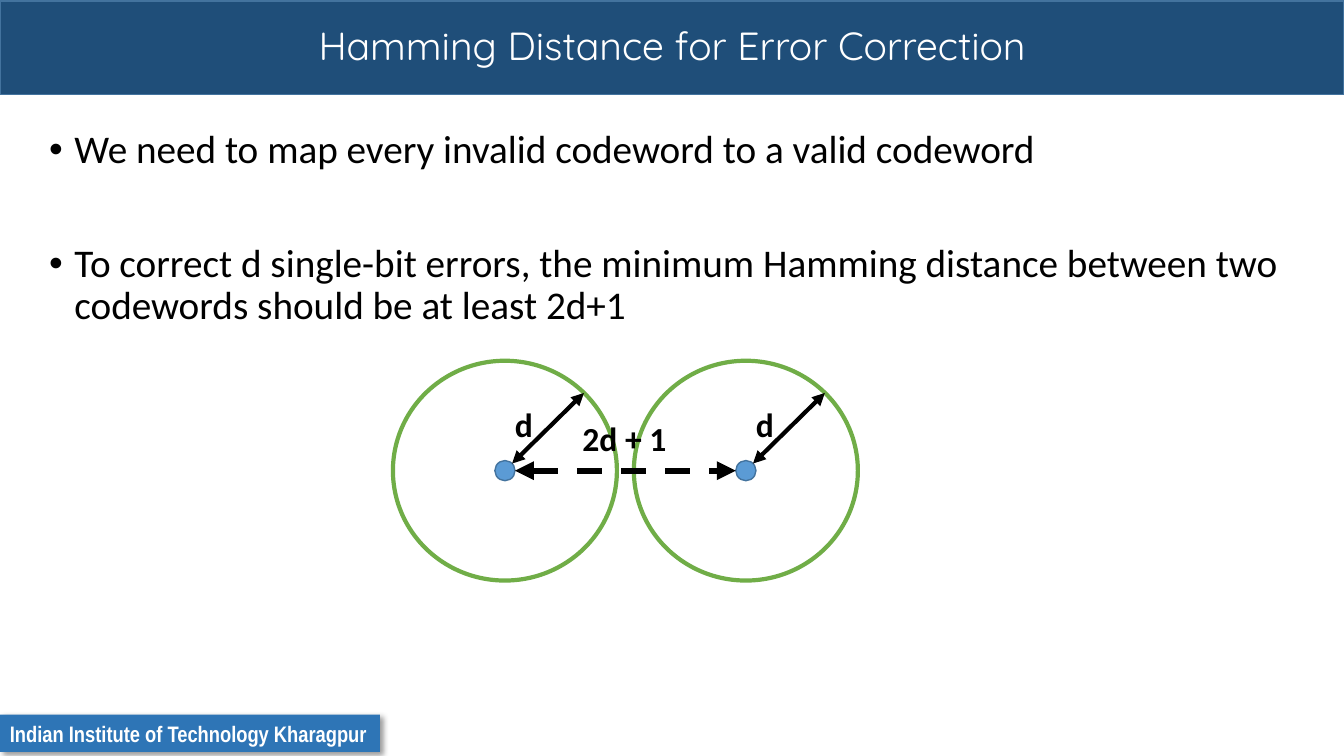
"""Builds a slide on Hamming distance for error correction."""
from lxml.etree import SubElement
from pptx import Presentation
from pptx.dml.color import RGBColor
from pptx.enum.dml import MSO_LINE
from pptx.enum.shapes import MSO_CONNECTOR, MSO_SHAPE
from pptx.enum.text import MSO_ANCHOR, PP_ALIGN
from pptx.oxml.ns import qn
from pptx.util import Pt

WHITE = RGBColor(0xFF, 0xFF, 0xFF)
BLACK = RGBColor(0x00, 0x00, 0x00)
NAVY = RGBColor(0x1F, 0x4E, 0x79)
BANNER_BLUE = RGBColor(0x2E, 0x75, 0xB6)
DOT_BLUE = RGBColor(0x5B, 0x9B, 0xD5)
EDGE_BLUE = RGBColor(0x43, 0x73, 0x9E)
GREEN = RGBColor(0x70, 0xAD, 0x47)

BULLETS = [
    "We need to map every invalid codeword to a valid codeword",
    "To correct d single-bit errors, the minimum Hamming distance between "
    "two codewords should be at least 2d+1",
]
CODEWORD_X = [360.7, 532.8]
CODEWORD_Y = 336.2
DOT_RADIUS = 7.2


def style_font(font, name, size, color, bold=False):
    """Set the typeface, size, colour and weight of a font."""
    font.name = name
    font.size = Pt(size)
    font.color.rgb = color
    font.bold = bold


def add_box(slide, kind, left, top, width, height, fill=None, line=None, weight=1):
    """Add a preset shape with an optional fill and outline."""
    shape = slide.shapes.add_shape(kind, Pt(left), Pt(top), Pt(width), Pt(height))
    shape.shadow.inherit = False
    if fill is None:
        shape.fill.background()
    else:
        shape.fill.solid()
        shape.fill.fore_color.rgb = fill
    if line is None:
        shape.line.fill.background()
    else:
        shape.line.color.rgb = line
        shape.line.width = Pt(weight)
    return shape


def add_header(slide, text):
    """Add the title band across the top."""
    band = add_box(slide, MSO_SHAPE.RECTANGLE, 0, 0.7, 960, 67, NAVY, EDGE_BLUE)
    frame = band.text_frame
    frame.text = text
    frame.vertical_anchor = MSO_ANCHOR.MIDDLE
    paragraph = frame.paragraphs[0]
    paragraph.alignment = PP_ALIGN.CENTER
    paragraph.line_spacing = 0.9
    style_font(paragraph.runs[0].font, "Quicksand", 28, WHITE)


def add_footer(slide, text):
    """Add the institute banner with its soft shadow."""
    banner = add_box(slide, MSO_SHAPE.RECTANGLE, 0, 510.5, 271.4, 26.6, BANNER_BLUE)
    effects = banner.element.spPr.find(qn("a:effectLst"))
    shadow = SubElement(effects, qn("a:outerShdw"), blurRad=str(Pt(4)),
                        dist=str(Pt(3)), dir="2700000", algn="tl", rotWithShape="0")
    color = SubElement(shadow, qn("a:srgbClr"), val=str(BLACK))
    SubElement(color, qn("a:alpha"), val="40000")
    frame = banner.text_frame
    frame.text = text
    frame.word_wrap = False
    paragraph = frame.paragraphs[0]
    paragraph.alignment = PP_ALIGN.LEFT
    style_font(paragraph.runs[0].font, "Arial Narrow", 16, WHITE, True)


def add_bullets(slide, texts):
    """Add the bulleted statements."""
    box = slide.shapes.add_textbox(Pt(28.1), Pt(89.3), Pt(909.4), Pt(421.2))
    frame = box.text_frame
    frame.word_wrap = True
    for index, text in enumerate(texts):
        paragraph = frame.add_paragraph() if index else frame.paragraphs[0]
        paragraph.text = text
        paragraph.line_spacing = 0.9
        paragraph.space_before = Pt(51 if index else 0)
        properties = paragraph._p.get_or_add_pPr()
        properties.set("marL", str(Pt(18)))
        properties.set("indent", str(-Pt(18)))
        SubElement(properties, qn("a:buFont"), typeface="Arial")
        SubElement(properties, qn("a:buChar"), char="•")
        style_font(paragraph.runs[0].font, "Calibri", 28, BLACK)


def add_label(slide, text, left, top, width):
    """Add a bold distance label."""
    box = slide.shapes.add_textbox(Pt(left), Pt(top), Pt(width), Pt(36))
    frame = box.text_frame
    frame.text = text
    frame.word_wrap = False
    style_font(frame.paragraphs[0].runs[0].font, "Calibri", 24, BLACK, True)


def add_arrow(slide, start, end, weight, dash=None):
    """Add a straight arrow with a head at both ends."""
    arrow = slide.shapes.add_connector(
        MSO_CONNECTOR.STRAIGHT, *(Pt(value) for value in start + end))
    arrow.line.color.rgb = BLACK
    arrow.line.width = Pt(weight)
    if dash is not None:
        arrow.line.dash_style = dash
    for tag in ("a:headEnd", "a:tailEnd"):
        SubElement(arrow.line._get_or_add_ln(), qn(tag), type="triangle")
    SubElement(arrow._element.spPr, qn("a:effectLst"))


def add_codeword(slide, x, y):
    """Add a codeword dot with its circle of radius d."""
    add_box(slide, MSO_SHAPE.OVAL, x - DOT_RADIUS, y - DOT_RADIUS,
            2 * DOT_RADIUS, 2 * DOT_RADIUS, DOT_BLUE, EDGE_BLUE)
    add_box(slide, MSO_SHAPE.OVAL, x - 80, y - 78.5, 160, 157, None, GREEN, 3)
    add_arrow(slide, (x + 5.1, y - 5.1), (x + 56.4, y - 55.5), 3)
    add_label(slide, "d", x, y - 51.1, 27.4)


def main():
    """Build and save the slide."""
    presentation = Presentation()
    presentation.slide_width = Pt(960)
    presentation.slide_height = Pt(540)
    slide = presentation.slides.add_slide(presentation.slide_layouts[6])
    add_header(slide, "Hamming Distance for Error Correction")
    add_footer(slide, "Indian Institute of Technology Kharagpur")
    add_bullets(slide, BULLETS)
    for x in CODEWORD_X:
        add_codeword(slide, x, CODEWORD_Y)
    first, second = CODEWORD_X
    add_arrow(slide, (first + DOT_RADIUS, CODEWORD_Y),
              (second - DOT_RADIUS, CODEWORD_Y), 4.5, MSO_LINE.DASH)
    add_label(slide, "2d + 1", 409, 295.2, 74.9)
    presentation.save("out.pptx")


if __name__ == "__main__":
    main()
